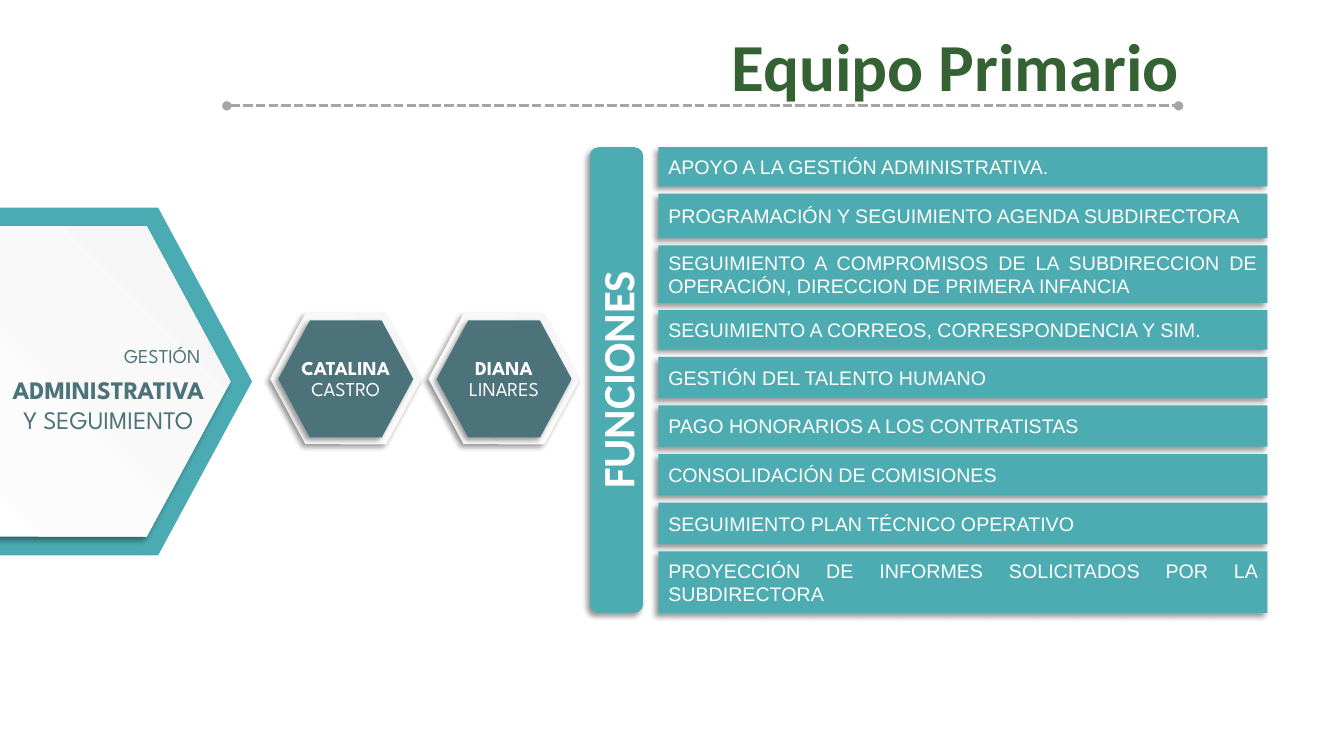
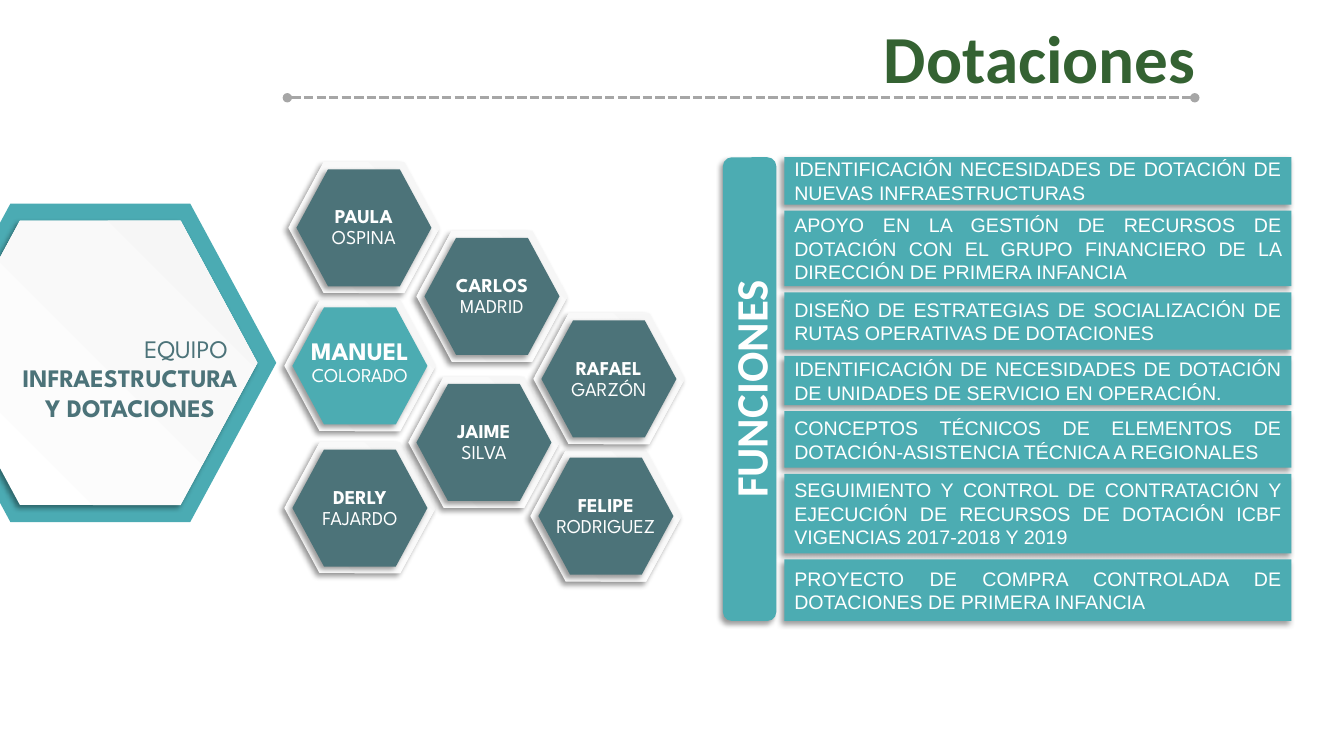
from lxml import etree
from pptx import Presentation
from pptx import util as u
from pptx.dml.color import RGBColor
from pptx.enum import dml, shapes, text
from pptx.oxml.ns import qn

COLORS = {
    "title": "346232",
    "rule": "A6A6A6",
    "hub": "4BABB3",
    "bar": "4CACB2",
    "slate": "4C7379",
    "pale": "F6F6F6",
    "white": "FFFFFF",
    "black": "000000",
}
TITLE_FONT, BODY_FONT, NAME_FONT = "Calibri", "Arial", "League Spartan"
INNER_SHARE = 0.893
PERSON_SIZE = (1.5, 1.3)
BAND_WIDTH = 0.53
SHAPE = shapes.MSO_SHAPE
ALIGN = text.PP_ALIGN


def rgb(name):
    return RGBColor.from_string(COLORS[name])


def write(frame, *lines, size=14, font=NAME_FONT, color="white", bold=False,
          align=ALIGN.CENTER, anchor=text.MSO_ANCHOR.MIDDLE, wrap=True,
          pitch=None, inset=(0.1, 0.05)):
    """Fill a frame; a line is a string or a (string, overrides) pair."""
    frame.word_wrap = wrap
    frame.auto_size = text.MSO_AUTO_SIZE.NONE
    frame.vertical_anchor = anchor
    frame.margin_left = frame.margin_right = u.Inches(inset[0])
    frame.margin_top = frame.margin_bottom = u.Inches(inset[1])
    for index, line in enumerate(lines):
        words, own = (line, {}) if isinstance(line, str) else line
        paragraph = frame.add_paragraph() if index else frame.paragraphs[0]
        paragraph.alignment = align
        if pitch:
            paragraph.line_spacing = u.Pt(pitch)
        run = paragraph.add_run()
        run.text = words
        run.font.name = font
        run.font.size = u.Pt(own.get("size", size))
        run.font.bold = own.get("bold", bold)
        run.font.color.rgb = rgb(color)


def fill_pale_gradient(shape):
    """Radial gradient spreading from the bottom left corner."""
    shape.fill.gradient()
    for stop, name in zip(shape.fill.gradient_stops, ("pale", "white")):
        stop.color.rgb = rgb(name)
    gradient = shape.element.spPr.find(qn("a:gradFill"))
    gradient.remove(gradient.find(qn("a:lin")))
    spread = etree.SubElement(gradient, qn("a:path"), {"path": "circle"})
    etree.SubElement(spread, qn("a:fillToRect"), l="100000", b="100000")


def add_soft_shadow(shape):
    effects = shape.element.spPr.find(qn("a:effectLst"))
    shadow = etree.SubElement(
        effects, qn("a:outerShdw"), blurRad="50800", dist="38100",
        dir="8100000", algn="tr", rotWithShape="0")
    tint = etree.SubElement(shadow, qn("a:srgbClr"), val=COLORS["black"])
    etree.SubElement(tint, qn("a:alpha"), val="40000")


def add_block(slide, kind, box, fill, shadow=True):
    """Borderless shape; a fill of None gives the pale gradient."""
    shape = slide.shapes.add_shape(kind, *map(u.Inches, box))
    if fill:
        shape.fill.solid()
        shape.fill.fore_color.rgb = rgb(fill)
    else:
        fill_pale_gradient(shape)
    shape.line.fill.background()
    shape.shadow.inherit = False
    if shadow:
        add_soft_shadow(shape)
    return shape


def add_nested_hexagons(slide, box, rim, core, rim_shadow=True):
    """Concentric hexagons; returns the inner one."""
    left, top, width, height = box
    margin = (1 - INNER_SHARE) / 2
    inner = (left + width * margin, top + height * margin,
             width * INNER_SHARE, height * INNER_SHARE)
    outer_hexagon = add_block(slide, SHAPE.HEXAGON, box, rim, rim_shadow)
    inner_hexagon = add_block(slide, SHAPE.HEXAGON, inner, core)
    for hexagon in (outer_hexagon, inner_hexagon):
        hexagon.adjustments[0] = 0.27
    return inner_hexagon


def add_header(slide, title, left, right, level):
    """Title resting on a dotted rule that runs from left to right."""
    rule = slide.shapes.add_connector(
        shapes.MSO_CONNECTOR.STRAIGHT,
        *map(u.Inches, (left, level, right, level)))
    rule.line.color.rgb = rgb("rule")
    rule.line.width = u.Pt(2.25)
    rule.line.dash_style = dml.MSO_LINE.SQUARE_DOT
    properties = rule.element.spPr
    for end in ("a:headEnd", "a:tailEnd"):
        etree.SubElement(properties.find(qn("a:ln")), qn(end), type="oval")
    etree.SubElement(properties, qn("a:effectLst"))

    heading = slide.shapes.title
    width, height = 6, 0.91
    heading.left, heading.top = u.Inches(right + 0.11 - width), u.Inches(level - 0.86)
    heading.width, heading.height = u.Inches(width), u.Inches(height)
    write(heading.text_frame, title, size=48, font=TITLE_FONT, color="title",
          bold=True, align=ALIGN.RIGHT)


def add_hub(slide, box, labels):
    """Large team hexagon; label boxes are offset from its corner."""
    add_nested_hexagons(slide, box, "hub", None, rim_shadow=False)
    for (dx, dy, width, height), lines, size in labels:
        label = slide.shapes.add_textbox(
            *map(u.Inches, (box[0] + dx, box[1] + dy, width, height)))
        write(label.text_frame, *lines, size=size, color="slate",
              anchor=text.MSO_ANCHOR.TOP)


def add_person(slide, left, top, first, last, lead=False):
    core = add_nested_hexagons(slide, (left, top, *PERSON_SIZE), None,
                               "bar" if lead else "slate")
    first_format = {"bold": True, "size": 18 if lead else 14}
    write(core.text_frame, (first, first_format), last, wrap=False,
          pitch=15, inset=(0, 0))


def add_functions(slide, box, gap, tasks):
    """Upright band beside a stack of task bars with equal gaps."""
    left, top, width, height = box
    band = add_block(
        slide, SHAPE.ROUNDED_RECTANGLE,
        (left + (BAND_WIDTH - height) / 2, top + (height - BAND_WIDTH) / 2,
         height, BAND_WIDTH), "bar")
    band.rotation = 270
    write(band.text_frame, "FUNCIONES", size=32, font=TITLE_FONT, bold=True)

    bar_left = left + BAND_WIDTH + gap
    bar_width = width - BAND_WIDTH - gap
    space = (height - sum(size for size, _ in tasks)) / (len(tasks) - 1)
    for bar_height, task in tasks:
        bar = add_block(slide, SHAPE.RECTANGLE,
                        (bar_left, top, bar_width, bar_height), "bar")
        write(bar.text_frame, task, font=BODY_FONT, align=ALIGN.JUSTIFY)
        top += bar_height + space


TEAMS = [
    {
        "header": ("Equipo Primario", 2.25, 11.69, 1.05),
        "hub": (-1.49, 2.06, 3.99, 3.45),
        "labels": [
            ((1.85, 1.3, 2.5, 0.34), ["GESTIÓN"], 14),
            ((1.23, 1.6, 2.67, 0.71),
             [("ADMINISTRATIVA", {"bold": True}), "Y SEGUIMIENTO"], 18),
        ],
        "people": [
            (4.25, 3.11, "DIANA", "LINARES"),
            (2.68, 3.11, "CATALINA", "CASTRO"),
        ],
        "functions": (5.85, 1.46, 6.72, 4.62),
        "gap": 0.15,
        "tasks": [
            (0.39, "APOYO A LA GESTIÓN ADMINISTRATIVA."),
            (0.44, "PROGRAMACIÓN Y SEGUIMIENTO AGENDA SUBDIRECTORA"),
            (0.57, "SEGUIMIENTO A COMPROMISOS DE LA SUBDIRECCION DE "
                   "OPERACIÓN, DIRECCION DE PRIMERA INFANCIA"),
            (0.39, "SEGUIMIENTO A CORREOS, CORRESPONDENCIA Y SIM."),
            (0.41, "GESTIÓN DEL TALENTO HUMANO"),
            (0.41, "PAGO HONORARIOS A LOS CONTRATISTAS"),
            (0.41, "CONSOLIDACIÓN DE COMISIONES"),
            (0.41, "SEGUIMIENTO PLAN TÉCNICO OPERATIVO"),
            (0.61, "PROYECCIÓN DE INFORMES SOLICITADOS POR LA SUBDIRECTORA"),
        ],
    },
    {
        "header": ("Dotaciones", 2.85, 11.85, 0.97),
        "hub": (-0.75, 2.02, 3.49, 3.16),
        "labels": [
            ((2.02, 1.24, 1.15, 0.4), ["EQUIPO"], 18),
            ((0.79, 1.52, 2.5, 0.71),
             [("INFRAESTRUCTURA Y DOTACIONES", {"bold": True})], 18),
        ],
        "people": [
            (2.82, 2.98, "MANUEL", "COLORADO", True),
            (2.82, 4.39, "DERLY", "FAJARDO"),
            (2.86, 1.61, "PAULA", "OSPINA"),
            (4.05, 3.74, "JAIME", "SILVA"),
            (5.26, 4.47, "FELIPE", "RODRIGUEZ"),
            (4.13, 2.29, "CARLOS", "MADRID"),
            (5.29, 3.11, "RAFAEL", "GARZÓN"),
        ],
        "functions": (7.17, 1.56, 5.64, 4.6),
        "gap": 0.08,
        "tasks": [
            (0.47, "IDENTIFICACIÓN NECESIDADES DE DOTACIÓN DE NUEVAS "
                   "INFRAESTRUCTURAS"),
            (0.75, "APOYO EN LA GESTIÓN DE RECURSOS DE DOTACIÓN CON EL GRUPO "
                   "FINANCIERO DE LA DIRECCIÓN DE PRIMERA INFANCIA"),
            (0.57, "DISEÑO DE ESTRATEGIAS DE SOCIALIZACIÓN DE RUTAS "
                   "OPERATIVAS DE DOTACIONES"),
            (0.49, "IDENTIFICACIÓN DE NECESIDADES DE DOTACIÓN DE UNIDADES DE "
                   "SERVICIO EN OPERACIÓN."),
            (0.56, "CONCEPTOS TÉCNICOS DE ELEMENTOS DE DOTACIÓN-ASISTENCIA "
                   "TÉCNICA A REGIONALES"),
            (0.79, "SEGUIMIENTO Y CONTROL DE CONTRATACIÓN Y EJECUCIÓN DE "
                   "RECURSOS DE DOTACIÓN ICBF VIGENCIAS 2017-2018 Y 2019"),
            (0.61, "PROYECTO DE COMPRA CONTROLADA DE DOTACIONES DE PRIMERA "
                   "INFANCIA"),
        ],
    },
]


def add_team_slide(deck, team):
    slide = deck.slides.add_slide(deck.slide_layouts.get_by_name("Title Only"))
    add_header(slide, *team["header"])
    add_hub(slide, team["hub"], team["labels"])
    for person in team["people"]:
        add_person(slide, *person)
    add_functions(slide, team["functions"], team["gap"], team["tasks"])


def main():
    deck = Presentation()
    deck.slide_width, deck.slide_height = u.Inches(13.33), u.Inches(7.5)
    for team in TEAMS:
        add_team_slide(deck, team)
    deck.save("out.pptx")


if __name__ == "__main__":
    main()
